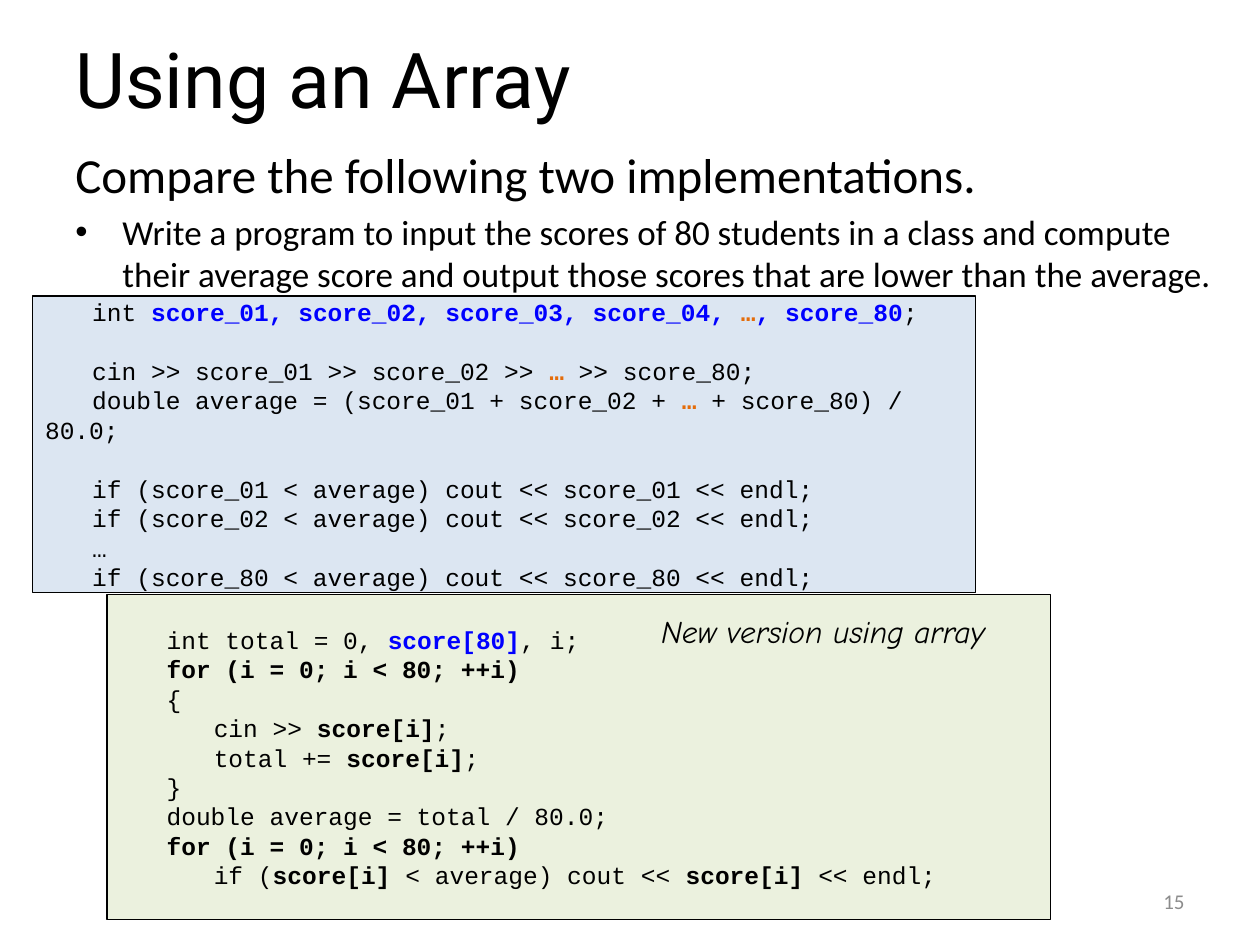
from pptx import Presentation
from pptx.dml.color import RGBColor
from pptx.enum.shapes import MSO_SHAPE
from pptx.enum.text import MSO_ANCHOR as Anchor, MSO_AUTO_SIZE as AutoSize, PP_ALIGN as Align
from pptx.oxml.ns import qn
from pptx.util import Cm, Pt
from lxml.etree import SubElement

BLACK = RGBColor(0, 0, 0)
GREY = RGBColor(0x8C, 0x8C, 0x8C)
BLUE = RGBColor(0, 0, 0xFF)
ORANGE = RGBColor(0xE4, 0x6C, 0x0A)
PALE_BLUE = RGBColor(0xDC, 0xE6, 0xF2)
PALE_GREEN = RGBColor(0xEB, 0xF1, 0xDE)

STYLES = {
    "plain": (BLACK, False),
    "bold": (BLACK, True),
    "blue": (BLUE, True),
    "orange": (ORANGE, True),
}


class SlideWriter:
    """Adds styled text and code panels to one slide."""

    text_font = "Calibri"
    code_font = "Courier New"
    code_size = 14
    code_pitch = 16.85
    step = 0.95

    def __init__(self, slide):
        self.slide = slide

    def add_run(self, paragraph, text, font, size, color=BLACK, bold=False, italic=False):
        run = paragraph.add_run()
        run.text = text
        run.font.name = font
        run.font.size = Pt(size)
        run.font.color.rgb = color
        run.font.bold = bold
        run.font.italic = italic

    def add_box(self, box, anchor=Anchor.TOP, wrap=True):
        frame = self.slide.shapes.add_textbox(*map(Cm, box)).text_frame
        frame.word_wrap = wrap
        frame.vertical_anchor = anchor
        return frame

    def add_label(self, box, text, size, font=text_font, color=BLACK, anchor=Anchor.MIDDLE,
                  align=Align.LEFT):
        paragraph = self.add_box(box, anchor).paragraphs[0]
        paragraph.alignment = align
        self.add_run(paragraph, text, font, size, color)

    def add_note(self, box, text, size, font):
        frame = self.add_box(box, wrap=False)
        frame.auto_size = AutoSize.SHAPE_TO_FIT_TEXT
        self.add_run(frame.paragraphs[0], text, font, size, italic=True)

    def add_body(self, box, heading, bullet):
        frame = self.add_box(box)
        first = frame.paragraphs[0]
        first.space_before = Pt(5.6)
        self.add_run(first, heading, self.text_font, 28)
        second = frame.add_paragraph()
        second.space_before = Pt(4)
        self.add_run(second, bullet, self.text_font, 20)
        properties = second._p.get_or_add_pPr()
        properties.set("marL", str(Cm(self.step)))
        properties.set("indent", str(-Cm(self.step)))
        SubElement(properties, qn("a:buFont")).set("typeface", "Arial")
        SubElement(properties, qn("a:buChar")).set("char", "•")

    def add_code(self, box, fill, lines):
        shape = self.slide.shapes.add_shape(MSO_SHAPE.RECTANGLE, *map(Cm, box))
        shape.shadow.inherit = False
        shape.fill.solid()
        shape.fill.fore_color.rgb = fill
        shape.line.color.rgb = BLACK
        shape.line.width = Pt(0.75)
        frame = shape.text_frame
        frame.word_wrap = True
        frame.vertical_anchor = Anchor.MIDDLE
        for number, (level, gap, runs) in enumerate(lines):
            paragraph = frame.add_paragraph() if number else frame.paragraphs[0]
            paragraph.alignment = Align.LEFT
            paragraph.line_spacing = Pt(self.code_pitch)
            paragraph.space_before = Pt(gap * self.code_pitch)
            paragraph._p.get_or_add_pPr().set("indent", str(Cm(level * self.step)))
            for text, style in runs:
                color, bold = STYLES[style]
                self.add_run(paragraph, text, self.code_font, self.code_size, color, bold)


def comparison(number, gap=0):
    name = f"score_{number}"
    return 1, gap, [(f"if ({name} < average) cout << {name} << endl;", "plain")]


presentation = Presentation()
presentation.slide_width = Cm(25.4)
presentation.slide_height = Cm(19.05)
writer = SlideWriter(presentation.slides.add_slide(presentation.slide_layouts[6]))

writer.add_body(
    (1.27, 2.79, 23.65, 14.22),
    "Compare the following two implementations.",
    "Write a program to input the scores of 80 students in a class and compute "
    "their average score and output those scores that are lower than the average.",
)
writer.add_label((1.27, -0.03, 22.86, 3.18), "Using an Array", 44, "Roboto")
writer.add_label((18.21, 17.65, 5.92, 1.02), "15", 12, color=GREY, align=Align.RIGHT)

ellipsis = ("…", "orange")
element = ("score[i]", "bold")
loop = (1, 0, [("for (i = 0; i < 80; ++i)", "bold")])

writer.add_code((0.66, 5.97, 19, 5.97), PALE_BLUE, [
    (1, 0, [("int ", "plain"), ("score_01, score_02, score_03, score_04, ", "blue"),
            ellipsis, (", score_80", "blue"), (";", "plain")]),
    (1, 1, [("cin >> score_01 >> score_02 >> ", "plain"), ellipsis,
            (" >> score_80;", "plain")]),
    (1, 0, [("double average = (score_01 + score_02 + ", "plain"), ellipsis,
            (" + score_80) / 80.0;", "plain")]),
    comparison("01", gap=1),
    comparison("02"),
    (1, 0, [("…", "plain")]),
    comparison("80"),
])
writer.add_code((2.16, 11.99, 19.02, 6.55), PALE_GREEN, [
    (1, 0, [("int total = 0, ", "plain"), ("score[80]", "blue"), (", i;", "plain")]),
    loop,
    (1, 0, [("{", "plain")]),
    (2, 0, [("cin >> ", "plain"), element, (";", "plain")]),
    (2, 0, [("total += ", "plain"), element, (";", "plain")]),
    (1, 0, [("}", "plain")]),
    (1, 0, [("double average = total / 80.0;", "plain")]),
    loop,
    (2, 0, [("if (", "plain"), element, (" < average) cout << ", "plain"), element,
            (" << endl;", "plain")]),
])
writer.add_note((13.08, 12.22, 7.72, 1.02), "New version using array", 18, "Comic Neue")

presentation.save("out.pptx")
